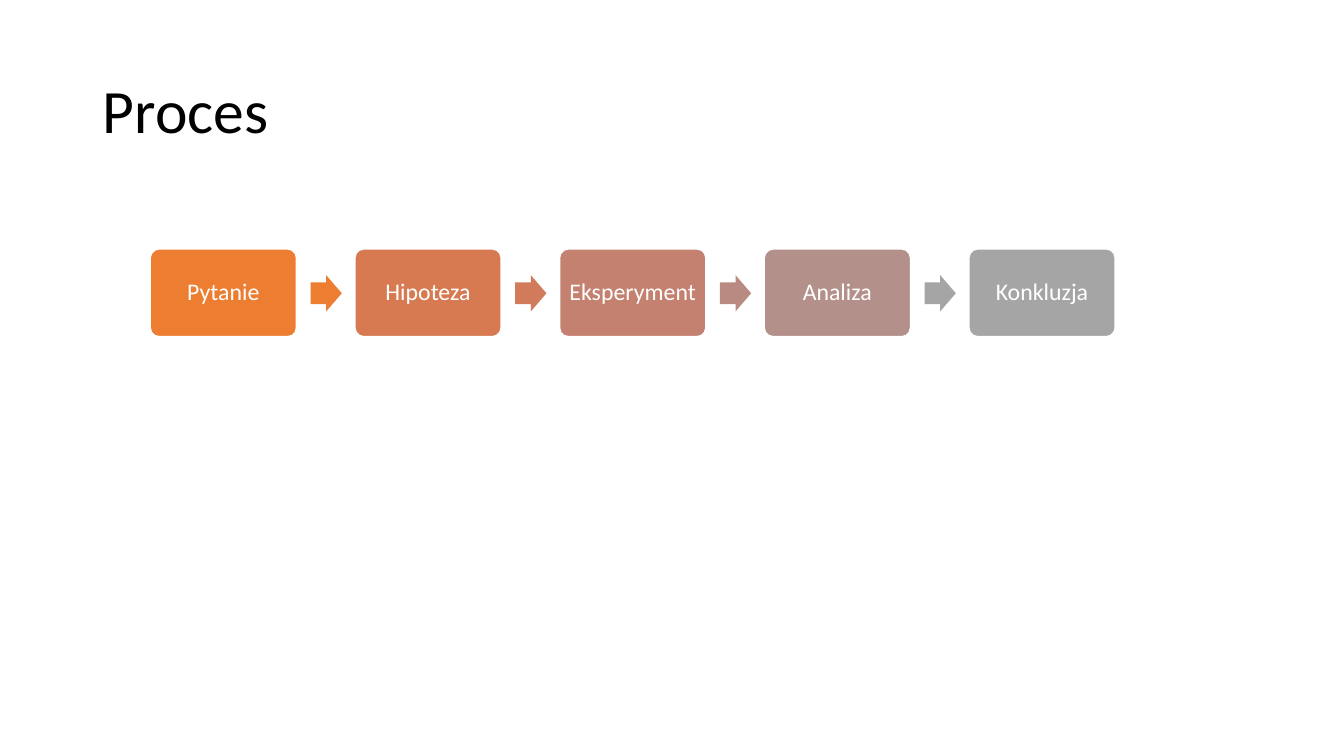
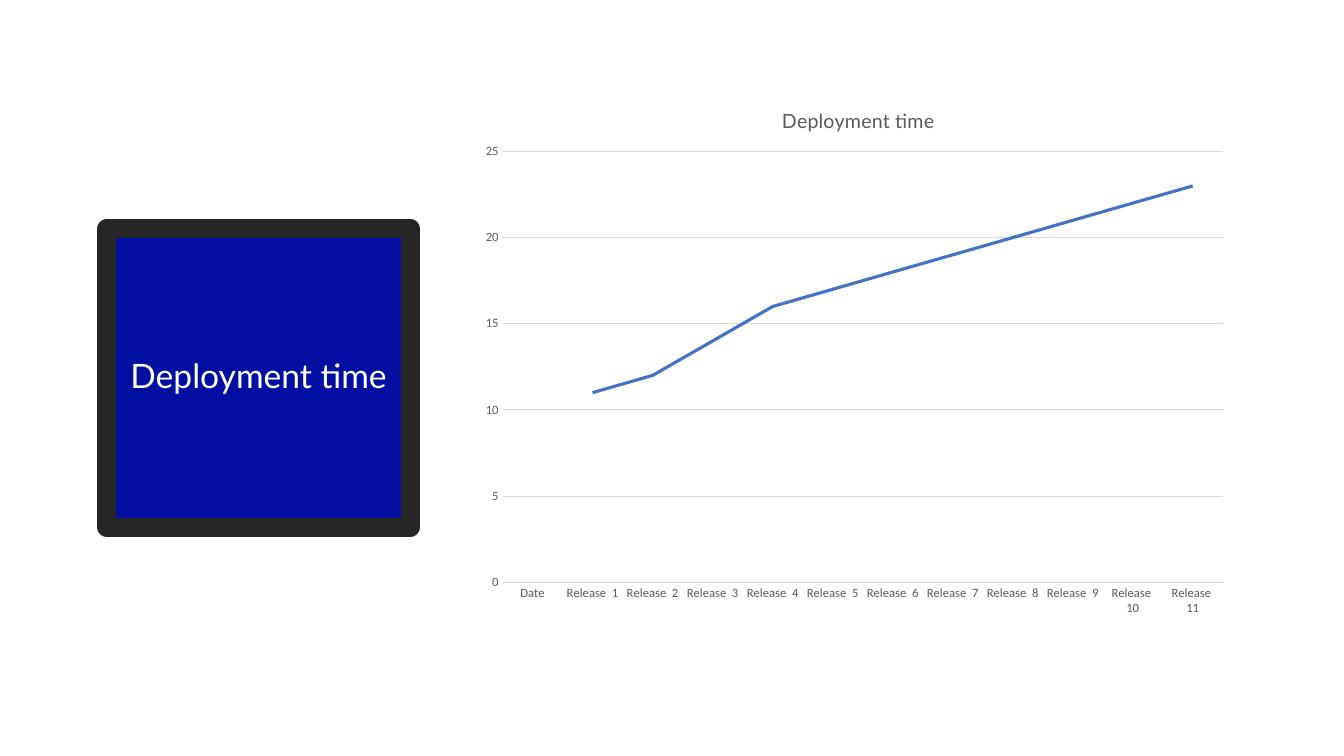
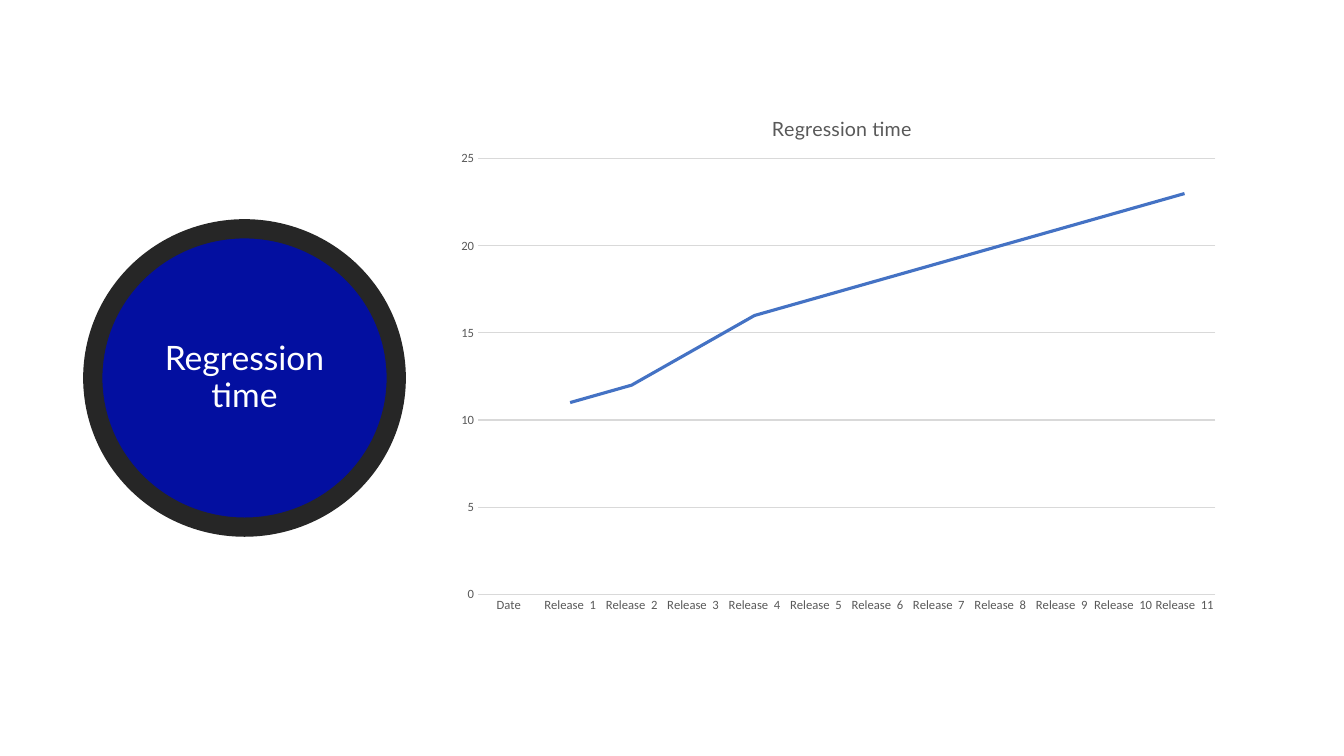
import pptx
import pptx.chart.data
import pptx.dml.color
import pptx.enum.chart
import pptx.enum.shapes
import pptx.enum.text
import pptx.oxml
import pptx.oxml.ns
import pptx.util

PX = 9144
SHAPES = pptx.enum.shapes.MSO_SHAPE
ALIGN = pptx.enum.text.PP_ALIGN
TITLE_ONLY, BLANK = 5, 6
RELEASES = ["Date"] + [f"Release  {number}" for number in range(1, 12)]
TIMES = [None, 11, 12, 14, 16, 17, 18, 19, 20, 21, 22, 23]


def color(value):
    return pptx.dml.color.RGBColor.from_string(value)


def px(*values):
    return [value * PX for value in values]


class Deck:
    body_font = "Calibri"
    accent_font = "Lato"
    black = "000000"
    white = "FFFFFF"
    badge_fill = "030FA0"
    badge_line = "262626"
    chart_text = "595959"
    chart_grid = "D9D9D9"
    chart_line = "4472C4"

    def __init__(self):
        self.presentation = pptx.Presentation()
        self.presentation.slide_width, self.presentation.slide_height = px(1333, 750)
        self.slide = None

    def new_slide(self, layout):
        self.slide = self.presentation.slides.add_slide(self.presentation.slide_layouts[layout])

    def add_label(self, shape, text, size, font, text_color, align=ALIGN.CENTER):
        frame = shape.text_frame
        frame.word_wrap = True
        frame.auto_size = pptx.enum.text.MSO_AUTO_SIZE.NONE
        frame.vertical_anchor = pptx.enum.text.MSO_ANCHOR.MIDDLE
        paragraph = frame.paragraphs[0]
        paragraph.alignment = align
        paragraph.line_spacing = 0.9
        run = paragraph.add_run()
        run.text = text
        self.style_font(run.font, size, font, text_color)

    def style_font(self, font, size, name, text_color):
        font.size = pptx.util.Pt(size)
        font.name = name
        font.bold = False
        font.color.rgb = color(text_color)

    def style_line(self, line, line_color, width):
        line.color.rgb = color(line_color)
        line.width = pptx.util.Pt(width)

    def place_title(self, left, top, width, height):
        title = self.slide.shapes.title
        title.left, title.top, title.width, title.height = px(left, top, width, height)
        return title

    def title(self, text):
        self.add_label(self.place_title(92, 40, 1150, 145), text, 44,
                       self.body_font, self.black, ALIGN.LEFT)

    def shape(self, kind, left, top, width, height, fill, adjustments=()):
        shape = self.slide.shapes.add_shape(kind, *px(left, top, width, height))
        shape.shadow.inherit = False
        shape.fill.solid()
        shape.fill.fore_color.rgb = color(fill)
        shape.line.fill.background()
        for index, adjustment in enumerate(adjustments):
            shape.adjustments[index] = adjustment
        return shape

    def step(self, left, text, fill):
        box = self.shape(SHAPES.ROUNDED_RECTANGLE, left, 247, 145, 87, fill, [0.1])
        self.style_line(box.line, self.white, 1)
        frame = box.text_frame
        frame.margin_left = frame.margin_right = 5 * PX
        self.add_label(box, text, 17, self.body_font, self.white)

    def arrow(self, left, fill):
        self.shape(SHAPES.RIGHT_ARROW, left, 273, 31, 36, fill, [0.6, 0.5])

    def badge(self, shape, text):
        shape.fill.solid()
        shape.fill.fore_color.rgb = color(self.badge_fill)
        self.style_line(shape.line, self.badge_line, 13.75)
        self.add_label(shape, text, 24, self.accent_font, self.white)

    def layout_element(self, parent, index, **values):
        for old in parent.findall(pptx.oxml.ns.qn("c:layout")):
            parent.remove(old)
        target = '<c:layoutTarget val="inner"/>' if "w" in values else ""
        modes = "".join(f'<c:{key}Mode val="edge"/>' for key in "xy")
        numbers = "".join(f'<c:{key} val="{value}"/>' for key, value in values.items())
        parent.insert(index, pptx.oxml.parse_xml(
            f'<c:layout {pptx.oxml.ns.nsdecls("c")}><c:manualLayout>'
            f'{target}{modes}{numbers}</c:manualLayout></c:layout>'))

    def line_chart(self, text, bounds, title_left, plot_height):
        data = pptx.chart.data.CategoryChartData()
        data.categories = RELEASES
        data.add_series("Series 1", TIMES)
        chart = self.slide.shapes.add_chart(
            pptx.enum.chart.XL_CHART_TYPE.LINE, *px(*bounds), data).chart
        chart.has_legend = False
        self.style_font(chart.font, 9, self.body_font, self.chart_text)

        chart.has_title = True
        run = chart.chart_title.text_frame.paragraphs[0].add_run()
        run.text = text
        self.style_font(run.font, 14, self.accent_font, self.chart_text)
        self.layout_element(chart.chart_title._element, 1, x=title_left, y=0.04)
        plot_area = chart.element.find(".//" + pptx.oxml.ns.qn("c:plotArea"))
        self.layout_element(plot_area, 0, x=0.04, y=0.13, w=0.94, h=plot_height)

        for axis in (chart.category_axis, chart.value_axis):
            axis.major_tick_mark = pptx.enum.chart.XL_TICK_MARK.NONE
            axis.minor_tick_mark = pptx.enum.chart.XL_TICK_MARK.NONE
            self.style_font(axis.tick_labels.font, 9, self.body_font, self.chart_text)
        self.style_line(chart.category_axis.format.line, self.chart_grid, 0.75)
        values = chart.value_axis
        values.minimum_scale, values.maximum_scale, values.major_unit = 0, 25, 5
        values.format.line.fill.background()
        values.has_major_gridlines = True
        self.style_line(values.major_gridlines.format.line, self.chart_grid, 0.75)

        chart.plots[0].vary_by_categories = False
        series = chart.plots[0].series[0]
        series.smooth = False
        self.style_line(series.format.line, self.chart_line, 2.25)


def process_slide(deck):
    deck.new_slide(TITLE_ONLY)
    deck.title("Proces")
    steps = [("Pytanie", "ED7D31"), ("Hipoteza", "D87A51"), ("Eksperyment", "C48170"),
             ("Analiza", "B4908B"), ("Konkluzja", "A5A5A5")]
    arrow_fills = ["ED7D31", "D17B5C", "B98A82", "A5A5A5"]
    first_left, pitch = 149, 203
    for index, (text, fill) in enumerate(steps):
        deck.step(first_left + index * pitch, text, fill)
    for index, fill in enumerate(arrow_fills):
        deck.arrow(first_left + 159 + index * pitch, fill)


def deployment_slide(deck):
    deck.new_slide(TITLE_ONLY)
    deck.badge(deck.place_title(106, 227, 301, 296), "Deployment time")
    deck.line_chart("Deployment time", (468, 80, 760, 541), 0.4, 0.79)


def regression_slide(deck):
    deck.new_slide(BLANK)
    deck.line_chart("Regression time", (443, 89, 778, 527), 0.41, 0.82)
    circle = deck.shape(SHAPES.OVAL, 92, 227, 301, 296, deck.badge_fill)
    deck.badge(circle, "Regression time")


def main():
    deck = Deck()
    process_slide(deck)
    deployment_slide(deck)
    regression_slide(deck)
    deck.presentation.save("out.pptx")


if __name__ == "__main__":
    main()
